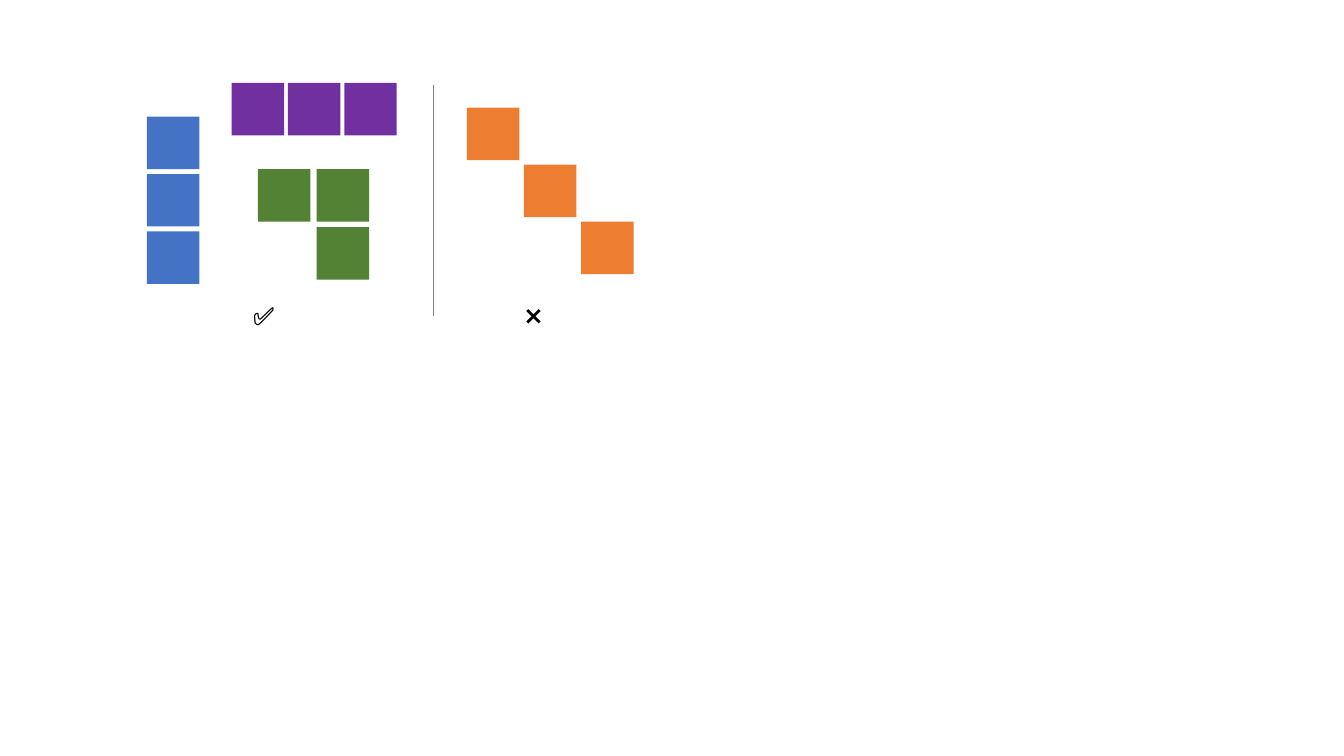
from lxml import etree
from pptx import Presentation
from pptx.dml.color import RGBColor
from pptx.enum.shapes import MSO_CONNECTOR, MSO_SHAPE
from pptx.enum.text import MSO_AUTO_SIZE
from pptx.oxml.ns import qn
from pptx.util import Pt

RECTANGLE = MSO_SHAPE.RECTANGLE
STRAIGHT = MSO_CONNECTOR.STRAIGHT
FIT_SHAPE = MSO_AUTO_SIZE.SHAPE_TO_FIT_TEXT
BLANK_LAYOUT = 6

# Each group: colour, left, top, column step, row step, (column, row) cells
GROUPS = [
    ("4472C4", 105.0, 83.3, 0, 41, [(0, 0), (0, 1), (0, 2)]),
    ("7030A0", 165.5, 59.2, 40.2, 0, [(0, 0), (1, 0), (2, 0)]),
    ("548235", 184.2, 120.8, 42, 41.4, [(0, 0), (1, 0), (1, 1)]),
    ("ED7D31", 333.5, 76.9, 40.8, 40.7, [(0, 0), (1, 1), (2, 2)]),
]


def colour(value):
    return RGBColor.from_string(value)


class Painter:
    square_side = 37.5
    text_format = {"name": "Calibri", "size": Pt(18)}
    text_colour = "000000"

    def __init__(self, page):
        self.page = page

    def square(self, left, top, fill):
        box = self.page.shapes.add_shape(
            RECTANGLE, Pt(left), Pt(top), Pt(self.square_side), Pt(self.square_side))
        box.shadow.inherit = False
        box.fill.solid()
        box.fill.fore_color.rgb = colour(fill)
        box.line.fill.background()

    def group(self, fill, left, top, column_step, row_step, cells):
        for column, row in cells:
            self.square(left + column * column_step, top + row * row_step, fill)

    def mark(self, text, left, top, width, height):
        box = self.page.shapes.add_textbox(Pt(left), Pt(top), Pt(width), Pt(height))
        box.text_frame.word_wrap = True
        box.text_frame.auto_size = FIT_SHAPE
        span = box.text_frame.paragraphs[0].add_run()
        span.text = text
        for name, value in self.text_format.items():
            setattr(span.font, name, value)
        span.font.color.rgb = colour(self.text_colour)

    def line(self, left, top, right, bottom, stroke, width):
        line = self.page.shapes.add_connector(
            STRAIGHT, Pt(left), Pt(top), Pt(right), Pt(bottom))
        line.line.color.rgb = colour(stroke)
        line.line.width = Pt(width)
        etree.SubElement(line._element.spPr, qn("a:effectLst"))


def main():
    deck = Presentation()
    deck.slide_width, deck.slide_height = Pt(960), Pt(540)
    painter = Painter(deck.slides.add_slide(deck.slide_layouts[BLANK_LAYOUT]))

    # Arrangements of three squares
    for group in GROUPS:
        painter.group(*group)

    # Verdict under each side
    for text, left in [("✅", 173.5), ("❌", 368)]:
        painter.mark(text, left, 211, 40.3, 29)

    # Divider between allowed and forbidden arrangements
    painter.line(309.6, 60.5, 309.6, 226, "808080", 0.5)

    deck.save("out.pptx")


if __name__ == "__main__":
    main()
